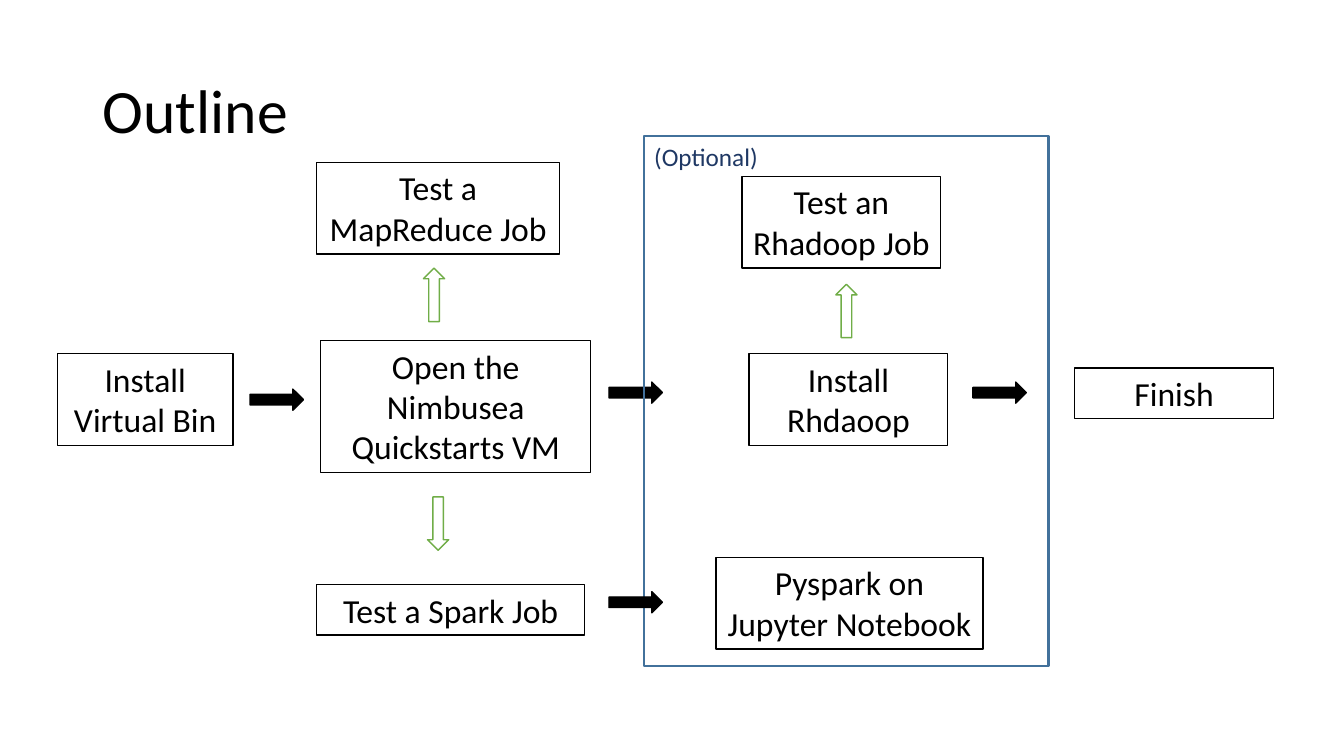
"""Build the outline slide: a flow of installation steps with an optional branch."""
from pptx import Presentation
from pptx.dml.color import RGBColor
from pptx.enum.shapes import MSO_SHAPE
from pptx.enum.text import MSO_ANCHOR, PP_ALIGN
from pptx.util import Inches, Pt

COLORS = {
    "black": "000000",
    "white": "FFFFFF",
    "green": "70AD47",
    "panel": "42719B",
    "navy": "1F3864",
}
FONT = "Calibri"
ARROW_LENGTH, ARROW_WIDTH = 0.53, 0.21

STEPS = [
    ("Install Virtual Bin", 0.57, 3.51, 1.74, 0.91),
    ("Open the Nimbusea Quickstarts VM", 3.18, 3.38, 2.68, 1.31),
    ("Test a MapReduce Job", 3.14, 1.61, 2.41, 0.91),
    ("Test a Spark Job", 3.14, 5.8, 2.66, 0.5),
    ("Install Rhdaoop", 7.43, 3.51, 1.97, 0.91),
    ("Test an Rhadoop Job", 7.36, 1.75, 1.97, 0.91),
    ("Finish", 10.66, 3.65, 1.97, 0.5),
    ("Pyspark on Jupyter Notebook", 7.1, 5.53, 2.65, 0.91),
]
MAIN_ARROWS = [(2.48, 3.86), (6.04, 3.79), (9.65, 3.79)]
NOTEBOOK_ARROW = (6.04, 5.87)
TEST_ARROWS = [(4.08, 5.09, 90), (4.04, 2.82, 270), (8.13, 2.98, 270)]

presentation = Presentation()
presentation.slide_width = Inches(13.33)
presentation.slide_height = Inches(7.5)
slide = presentation.slides.add_slide(presentation.slide_layouts[5])


def add_box(text, left, top, width, height, line, line_width, fill, size, color, alignment):
    """Add a rectangle with text that starts at its top."""
    box = slide.shapes.add_shape(
        MSO_SHAPE.RECTANGLE, Inches(left), Inches(top), Inches(width), Inches(height))
    box.shadow.inherit = False
    if fill:
        box.fill.solid()
        box.fill.fore_color.rgb = RGBColor.from_string(COLORS[fill])
    else:
        box.fill.background()
    box.line.color.rgb = RGBColor.from_string(COLORS[line])
    box.line.width = Pt(line_width)
    frame = box.text_frame
    frame.word_wrap = True
    frame.vertical_anchor = MSO_ANCHOR.TOP
    frame.text = text
    paragraph = frame.paragraphs[0]
    paragraph.alignment = alignment
    paragraph.font.name = FONT
    paragraph.font.size = Pt(size)
    paragraph.font.color.rgb = RGBColor.from_string(COLORS[color])


def add_arrow(left, top, rotation=0, fill="black", line="black"):
    """Add a block arrow, turned clockwise by the rotation."""
    arrow = slide.shapes.add_shape(
        MSO_SHAPE.RIGHT_ARROW, Inches(left), Inches(top),
        Inches(ARROW_LENGTH), Inches(ARROW_WIDTH))
    arrow.rotation = rotation
    arrow.shadow.inherit = False
    arrow.fill.solid()
    arrow.fill.fore_color.rgb = RGBColor.from_string(COLORS[fill])
    arrow.line.color.rgb = RGBColor.from_string(COLORS[line])
    arrow.line.width = Pt(1)


title = slide.shapes.title
title.left, title.top = Inches(0.92), Inches(0.4)
title.width, title.height = Inches(11.5), Inches(1.45)
title.text_frame.text = "Outline"
title.text_frame.vertical_anchor = MSO_ANCHOR.MIDDLE
heading = title.text_frame.paragraphs[0]
heading.alignment = PP_ALIGN.LEFT
heading.line_spacing = 0.9
heading.font.name = FONT
heading.font.size = Pt(44)
heading.font.color.rgb = RGBColor.from_string(COLORS["black"])

for step in STEPS:
    add_box(*step, "black", 1, "white", 24, "black", PP_ALIGN.CENTER)
for left, top in MAIN_ARROWS:
    add_arrow(left, top)
for left, top, rotation in TEST_ARROWS:
    add_arrow(left, top, rotation, "white", "green")
add_box("(Optional)", 6.39, 1.35, 4.01, 5.26, "panel", 1.5, None, 18, "navy", PP_ALIGN.LEFT)
add_arrow(*NOTEBOOK_ARROW)

presentation.save("out.pptx")
